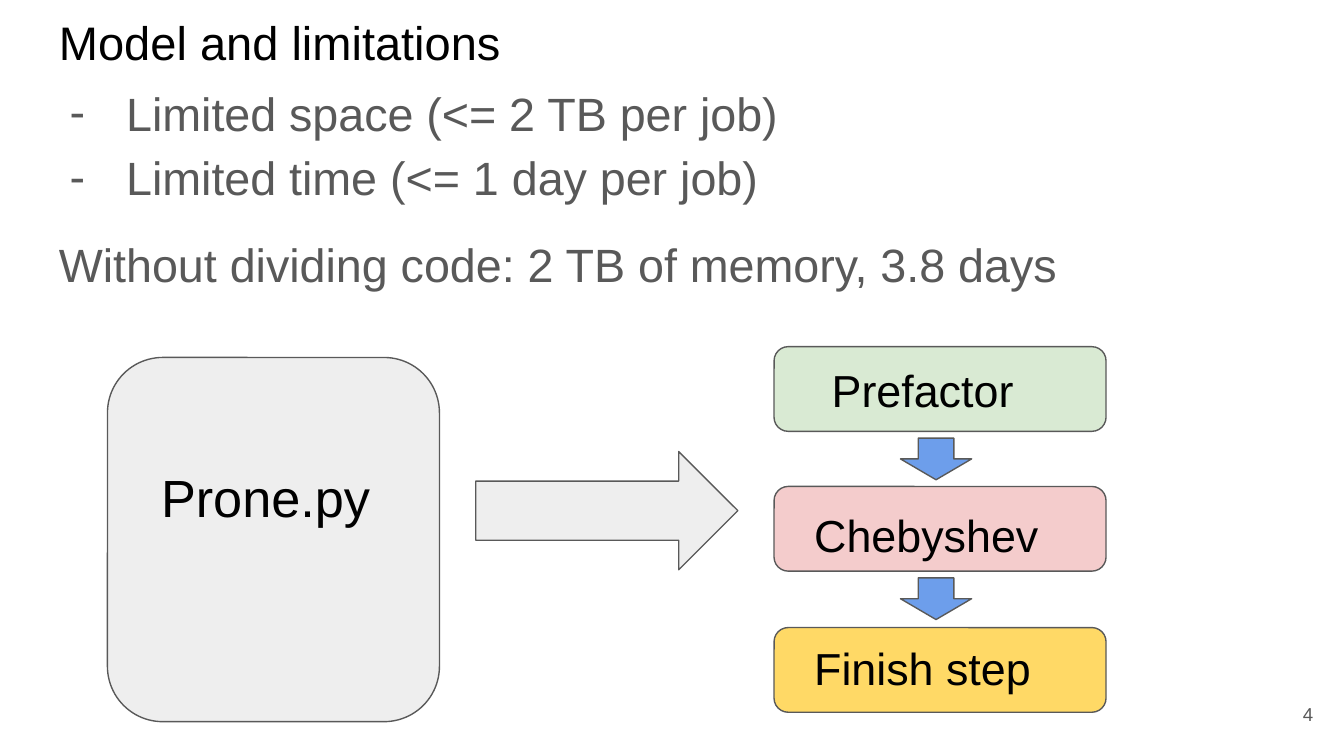
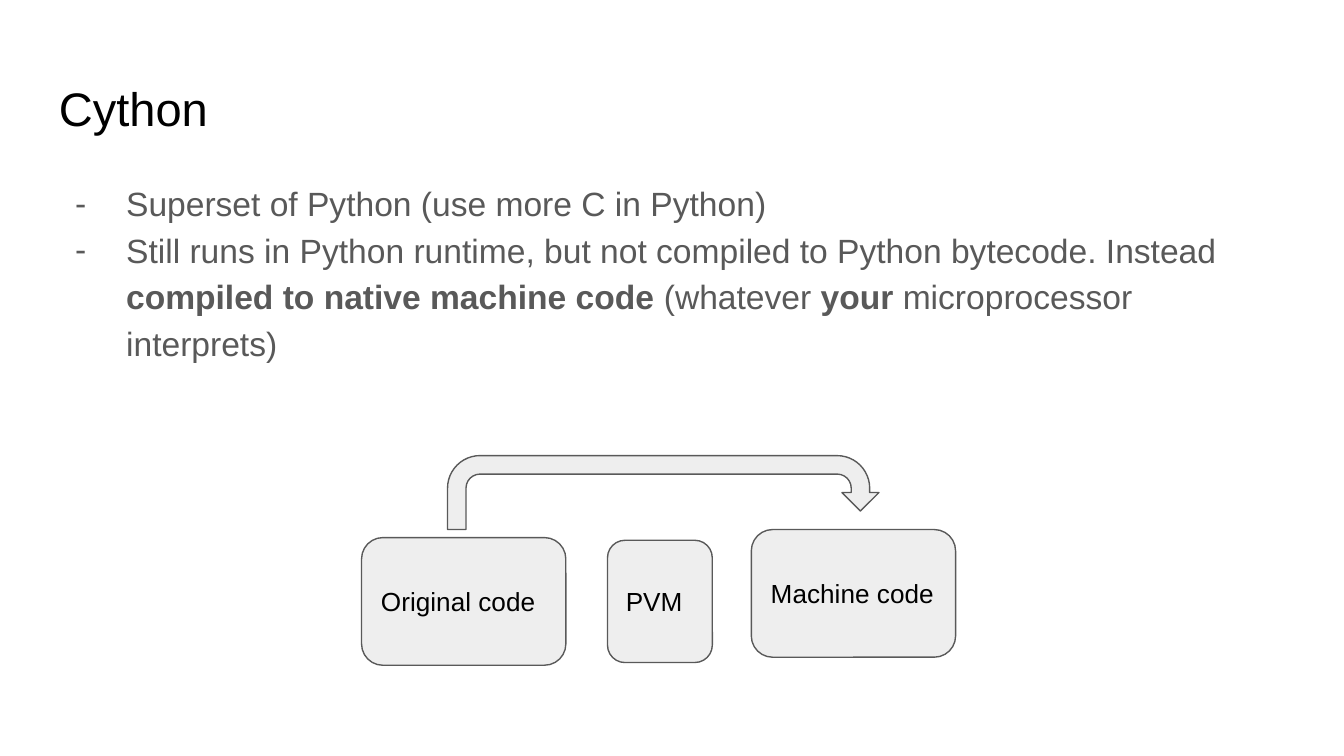
from lxml.etree import SubElement
from pptx import Presentation
from pptx.dml.color import RGBColor
from pptx.enum.shapes import MSO_SHAPE as Shape
from pptx.enum.text import MSO_ANCHOR as Anchor, PP_ALIGN as Align
from pptx.oxml.ns import qn
from pptx.util import Emu, Pt

PX = 9144  # 100 px to the inch
SLIDE_WIDTH = 1000
FONT = "Arial"
BLACK, GREY, PALE = "000000", "595959", "EEEEEE"
GREEN, PINK, YELLOW, BLUE = "D9EAD3", "F4CCCC", "FFD966", "6D9EEB"
MARGIN, CONTENT_WIDTH, INSET = 34, 932, 10
TITLE_SIZE, TITLE_HEIGHT = 25.2, 63


def px(*lengths):
    return [Emu(length * PX) for length in lengths]


def color(hex_string):
    return RGBColor.from_string(hex_string)


def set_font(para, size, hex_string):
    para.font.name = FONT
    para.font.size = Pt(size)
    para.font.color.rgb = color(hex_string)


def prepare_frame(box, anchor=Anchor.TOP):
    frame = box.text_frame
    frame.word_wrap = True
    frame.vertical_anchor = anchor
    inset, = px(INSET)
    frame.margin_left = frame.margin_right = inset
    frame.margin_top = frame.margin_bottom = inset
    return frame


def add_text(page, text, area, size, hex_string=BLACK,
             anchor=Anchor.TOP, align=Align.LEFT):
    box = page.shapes.add_textbox(*px(*area))
    para = prepare_frame(box, anchor).paragraphs[0]
    para.text = text
    para.alignment = align
    set_font(para, size, hex_string)


def add_title(page, text, top):
    add_text(page, text, (MARGIN, top, CONTENT_WIDTH, TITLE_HEIGHT), TITLE_SIZE)


def add_dash(para, hang):
    """Turn the paragraph into a dash item whose dash hangs by the given px."""
    props = para._p.get_or_add_pPr()
    indent, hanging = px(50, hang)
    props.set("marL", str(indent))
    props.set("indent", str(-hanging))
    dash_color = SubElement(props, qn("a:buClr"))
    SubElement(dash_color, qn("a:srgbClr"), val=GREY)
    SubElement(props, qn("a:buFont"), typeface=FONT)
    SubElement(props, qn("a:buChar"), char="-")


def add_body(page, top, height, size, hang, items, closing=None):
    """Dash items, each a list of spans (every second one bold), then a plain line."""
    box = page.shapes.add_textbox(*px(MARGIN, top, CONTENT_WIDTH, height))
    frame = prepare_frame(box)
    lines = items + ([[closing]] if closing else [])
    for index, spans in enumerate(lines):
        para = frame.paragraphs[0] if index == 0 else frame.add_paragraph()
        para.line_spacing = 1.15
        if index < len(items):
            add_dash(para, hang)
        else:
            para.space_before = para.space_after = Pt(12)
        set_font(para, size, GREY)
        for position, text in enumerate(spans):
            span = para.add_run()
            span.text = text
            if position % 2:
                span.font.bold = True


def add_figure(page, kind, area, fill=PALE, adjustments=()):
    figure = page.shapes.add_shape(kind, *px(*area))
    figure.shadow.inherit = False
    figure.fill.solid()
    figure.fill.fore_color.rgb = color(fill)
    figure.line.color.rgb = color(GREY)
    figure.line.width = Pt(0.75)
    for index, value in enumerate(adjustments):
        figure.adjustments[index] = value
    return figure


def add_labelled_box(page, text, area):
    box = add_figure(page, Shape.ROUNDED_RECTANGLE, area)
    para = prepare_frame(box, Anchor.MIDDLE).paragraphs[0]
    para.text = text
    para.alignment = Align.LEFT
    set_font(para, 14, BLACK)


def build_limitations(page):
    add_text(page, "4", (927, 510, 60, 43), 10, GREY, Anchor.MIDDLE, Align.RIGHT)
    add_title(page, "Model and limitations", 0)
    add_body(page, 47, 197, 25, 42,
             [["Limited space (<= 2 TB per job)"],
              ["Limited time (<= 1 day per job)"]],
             "Without dividing code: 2 TB of memory, 3.8 days")

    add_figure(page, Shape.ROUNDED_RECTANGLE, (80, 266, 247, 271))
    add_text(page, "Prone.py", (110, 336, 185, 116), 28)
    add_figure(page, Shape.RIGHT_ARROW, (354, 336, 195, 88))

    steps = [("Prefactor", GREEN, 609, 2),
             ("Chebyshev", PINK, 596, 6),
             ("Finish step", YELLOW, 596, 0)]
    for index, (label, fill, label_left, label_drop) in enumerate(steps):
        top = 258 + 209 * index // 2
        add_figure(page, Shape.ROUNDED_RECTANGLE, (576, top, 247, 63), fill)
        add_text(page, label, (label_left, top + label_drop, 207, 50), 24)
        if index < len(steps) - 1:
            add_figure(page, Shape.DOWN_ARROW, (670, top + 68, 53, 31), BLUE)


def build_cython(page):
    add_title(page, "Cython", 49)
    add_body(page, 122, 416, 18, 38,
             [["Superset of Python (use more C in Python)"],
              ["Still runs in Python runtime, but not compiled to Python "
               "bytecode. Instead ",
               "compiled to native machine code ", "(whatever ",
               "your ", "microprocessor interprets)"]])
    add_labelled_box(page, "Original code", (269, 400, 152, 95))
    add_figure(page, Shape.U_TURN_ARROW, (333, 339, 321, 55),
               adjustments=(0.25, 0.25, 0.25, 0.44, 0.75))
    add_labelled_box(page, "Machine code", (559, 394, 152, 95))
    add_labelled_box(page, "PVM", (452, 402, 78, 91))


def main():
    deck = Presentation()
    deck.slide_width, = px(SLIDE_WIDTH)
    deck.slide_height = deck.slide_width * 9 // 16
    blank = deck.slide_layouts[6]
    for build in (build_limitations, build_cython):
        build(deck.slides.add_slide(blank))
    deck.save("out.pptx")


if __name__ == "__main__":
    main()
